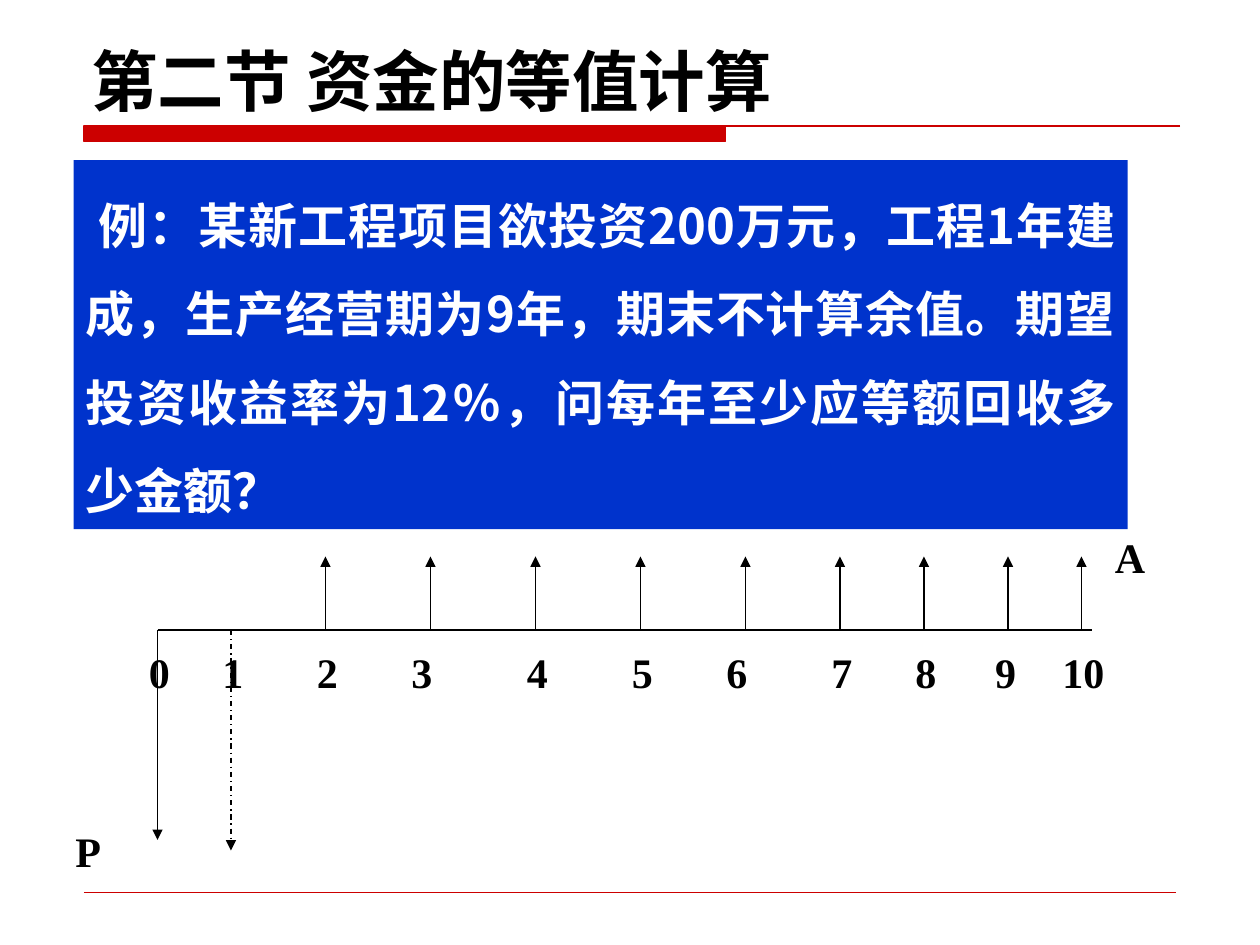
from pptx import Presentation
from pptx.dml.color import RGBColor
from pptx.enum.dml import MSO_LINE
from pptx.enum.shapes import MSO_CONNECTOR, MSO_SHAPE
from pptx.enum.text import MSO_ANCHOR, MSO_AUTO_SIZE, PP_ALIGN
from pptx.oxml.ns import qn
from pptx.util import Inches, Pt
from lxml.etree import SubElement

COLORS = {"red": "CC0000", "blue": "0033CC", "black": "000000", "white": "FFFFFF"}
HAN, ROMAN = "Noto Sans CJK SC", "Times New Roman"

# The slide is a grid of 120 columns and 90 rows
WIDE, HIGH = Inches(10), Inches(7.5)
COLS, ROWS = 120, 90

# Time axis: row of the line, columns of the years 0 to 10
AXIS, START, END = 60, 15, 104
YEARS = [START, 22, 31, 41, 51, 61, 71, 80, 88, 96, 103]
# Left column and width of each year's label
LABELS = [(13, 4), (20, 5), (29, 6), (38, 6), (49, 7), (59, 5),
          (68, 6), (78, 4), (86, 5), (93.6, 5), (100, 10)]


def grid(col, row):
    return round(WIDE * col / COLS), round(HIGH * row / ROWS)


def color(name):
    return RGBColor.from_string(COLORS[name])


def add_run(para, text, size, face, ink="black"):
    run = para.add_run()
    run.text = text
    font = run.font
    font.size, font.bold, font.name = Pt(size), True, face
    font.color.rgb = color(ink)
    SubElement(run._r.get_or_add_rPr(), qn("a:ea"), typeface=face)


def add_line(slide, start, end, ink="black", width=0.75, arrow=False, dash=None):
    line = slide.shapes.add_connector(MSO_CONNECTOR.STRAIGHT, *grid(*start), *grid(*end))
    line.line.color.rgb = color(ink)
    line.line.width = Pt(width)
    if dash:
        line.line.dash_style = dash
    if arrow:
        SubElement(line.line._get_or_add_ln(), qn("a:tailEnd"), type="triangle")
    SubElement(line._element.spPr, qn("a:effectLst"))


def add_label(slide, text, col, row, width):
    box = slide.shapes.add_textbox(*grid(col, row), *grid(width, 6))
    frame = box.text_frame
    frame.word_wrap = True
    frame.auto_size = MSO_AUTO_SIZE.SHAPE_TO_FIT_TEXT
    add_run(frame.paragraphs[0], text, 24, ROMAN)


def add_rule(slide):
    left, top, mid, right, base = 8, 12, 69.1, 112.4, 13.45
    pen = slide.shapes.build_freeform(*grid(left, top))
    pen.add_line_segments([grid(mid, top), grid(mid, base), grid(left, base)])
    pen.move_to(*grid(left, top))
    pen.add_line_segments([grid(right, top)], close=False)
    rule = pen.convert_to_shape()
    rule.shadow.inherit = False
    rule.fill.solid()
    rule.fill.fore_color.rgb = color("red")
    rule.line.color.rgb = color("red")
    rule.line.width = Pt(0.75)


def add_title(slide, text):
    title = slide.shapes.title
    title.left, title.top = grid(7.5, 0)
    title.width, title.height = grid(105, 12)
    frame = title.text_frame
    frame.vertical_anchor = MSO_ANCHOR.BOTTOM
    frame.auto_size = MSO_AUTO_SIZE.NONE
    para = frame.paragraphs[0]
    para.alignment = PP_ALIGN.LEFT
    add_run(para, text, 38, HAN)


def add_panel(slide, text):
    panel = slide.shapes.add_shape(MSO_SHAPE.RECTANGLE, *grid(7, 15.25), *grid(100.4, 35.15))
    panel.shadow.inherit = False
    panel.fill.solid()
    panel.fill.fore_color.rgb = color("blue")
    panel.line.fill.background()
    frame = panel.text_frame
    frame.word_wrap = True
    frame.vertical_anchor = MSO_ANCHOR.TOP
    frame.auto_size = MSO_AUTO_SIZE.SHAPE_TO_FIT_TEXT
    para = frame.paragraphs[0]
    para.alignment = PP_ALIGN.JUSTIFY
    para.line_spacing = 1.5
    add_run(para, " ", 24, ROMAN, "white")
    add_run(para, text, 28, HAN, "white")


def add_flow(slide):
    # Year labels
    for year, (col, width) in enumerate(LABELS):
        add_label(slide, str(year), col, 61, width)
    # Axis, investment and yearly returns
    add_line(slide, (START, AXIS), (END, AXIS))
    add_line(slide, (START, AXIS), (START, 80), arrow=True)
    for col in YEARS[2:]:
        add_line(slide, (col, AXIS), (col, 53), arrow=True)
    add_label(slide, "P", 6, 78, 6)
    add_label(slide, "A", 105, 50, 9)
    # End of construction
    add_line(slide, (YEARS[1], AXIS), (YEARS[1], 81), arrow=True, dash=MSO_LINE.DASH_DOT)


def main():
    deck = Presentation()
    deck.slide_width, deck.slide_height = WIDE, HIGH
    slide = deck.slides.add_slide(deck.slide_layouts[5])
    # Frame lines
    add_rule(slide)
    add_line(slide, (8, 85), (112, 85), "red", 0.25)
    # Heading and problem
    add_title(slide, "第二节 资金的等值计算")
    add_panel(slide, "例：某新工程项目欲投资200万元，工程1年建成，生产经营期为9年，"
                     "期末不计算余值。期望投资收益率为12％，问每年至少应等额回收多少金额？")
    # Cash flow diagram
    add_flow(slide)
    deck.save("out.pptx")


if __name__ == "__main__":
    main()
